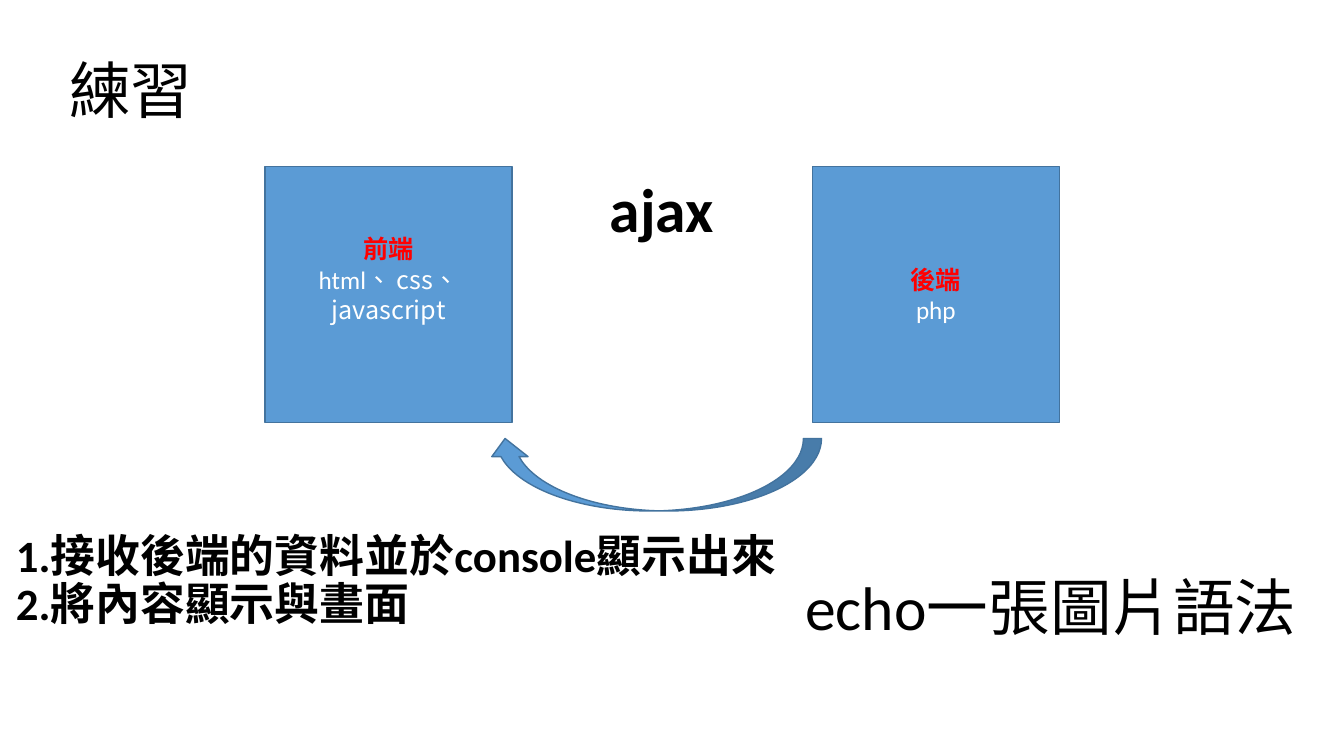
from lxml import etree
from pptx import Presentation
from pptx.dml.color import RGBColor
from pptx.enum.lang import MSO_LANGUAGE_ID
from pptx.enum.shapes import MSO_SHAPE
from pptx.enum.text import MSO_ANCHOR, PP_ALIGN
from pptx.oxml.ns import qn
from pptx.util import Pt

COLORS = {"box": "5B9BD5", "outline": "43739E", "heading": "FF0000",
          "light": "FFFFFF", "dark": "000000"}
LATIN, CHINESE = "Calibri", "Noto Sans CJK TC"

# left, top, width, height, size, bold, line spacing, wrap, anchor, lines
LABELS = [
    (42.5, 14.4, 828, 104.4, 44, False, 0.9, True, MSO_ANCHOR.MIDDLE, ["練習"]),
    (428.4, 118.8, 90, 60.5, 44, True, 1.0, False, MSO_ANCHOR.TOP, ["ajax"]),
    (4.3, 363.6, 563.8, 104.4, 32, True, 0.9, True, MSO_ANCHOR.MIDDLE,
     ["1.接收後端的資料並於console顯示出來", "2.將內容顯示與畫面"]),
    (568.1, 383.8, 376.6, 104.4, 44, False, 0.9, True, MSO_ANCHOR.MIDDLE,
     ["echo一張圖片語法"]),
]
# left, bottom inset, heading, technologies as (text, font)
ENDS = [
    (580.3, 3.6, "後端", [("php", LATIN)]),
    (189.4, 25.2, "前端", [("html", LATIN), ("、 css、javascript", CHINESE)]),
]
END_TOP, END_WIDTH, END_HEIGHT, END_SIZE = 118.8, 176.4, 182.9, 18
ARROW = (347.8, 313.2, 239, 51.8)


def style(font, size, color, bold, latin=LATIN):
    """Set a font with its East Asian typeface and language."""
    font.size, font.bold, font.name = Pt(size), bold, latin
    font.color.rgb = RGBColor.from_string(COLORS[color])
    font.language_id = MSO_LANGUAGE_ID.TRADITIONAL_CHINESE
    latin_tag = font._element.find(qn("a:latin"))
    east_asian = etree.Element(qn("a:ea"), typeface=CHINESE)
    latin_tag.addnext(east_asian)


def add_filled(slide, preset, bounds):
    shape = slide.shapes.add_shape(preset, *map(Pt, bounds))
    shape.shadow.inherit = False
    shape.fill.solid()
    shape.fill.fore_color.rgb = RGBColor.from_string(COLORS["box"])
    shape.line.color.rgb = RGBColor.from_string(COLORS["outline"])
    shape.line.width = Pt(1)
    return shape


def add_end(slide, left, bottom_inset, heading, technologies):
    bounds = (left, END_TOP, END_WIDTH, END_HEIGHT)
    frame = add_filled(slide, MSO_SHAPE.RECTANGLE, bounds).text_frame
    frame.word_wrap = True
    frame.vertical_anchor = MSO_ANCHOR.MIDDLE
    frame.margin_bottom = Pt(bottom_inset)
    title, details = frame.paragraphs[0], frame.add_paragraph()
    title.alignment = details.alignment = PP_ALIGN.CENTER
    title.text = heading
    style(title.font, END_SIZE, "heading", True)
    for text, latin in technologies:
        run = details.add_run()
        run.text = text
        style(run.font, END_SIZE, "light", False, latin)


def add_label(slide, left, top, width, height, size, bold, spacing, wrap, anchor, lines):
    frame = slide.shapes.add_textbox(*map(Pt, (left, top, width, height))).text_frame
    frame.word_wrap = wrap
    frame.vertical_anchor = anchor
    for index, line in enumerate(lines):
        paragraph = frame.add_paragraph() if index else frame.paragraphs[0]
        paragraph.text = line
        paragraph.line_spacing = spacing
        style(paragraph.font, size, "dark", bold)


def main():
    deck = Presentation()
    deck.slide_width, deck.slide_height = Pt(960), Pt(540)
    slide = deck.slides.add_slide(deck.slide_layouts[6])
    for end in ENDS:
        add_end(slide, *end)
    add_filled(slide, MSO_SHAPE.CURVED_DOWN_ARROW, ARROW).rotation = 180
    for label in LABELS:
        add_label(slide, *label)
    deck.save("out.pptx")


if __name__ == "__main__":
    main()
